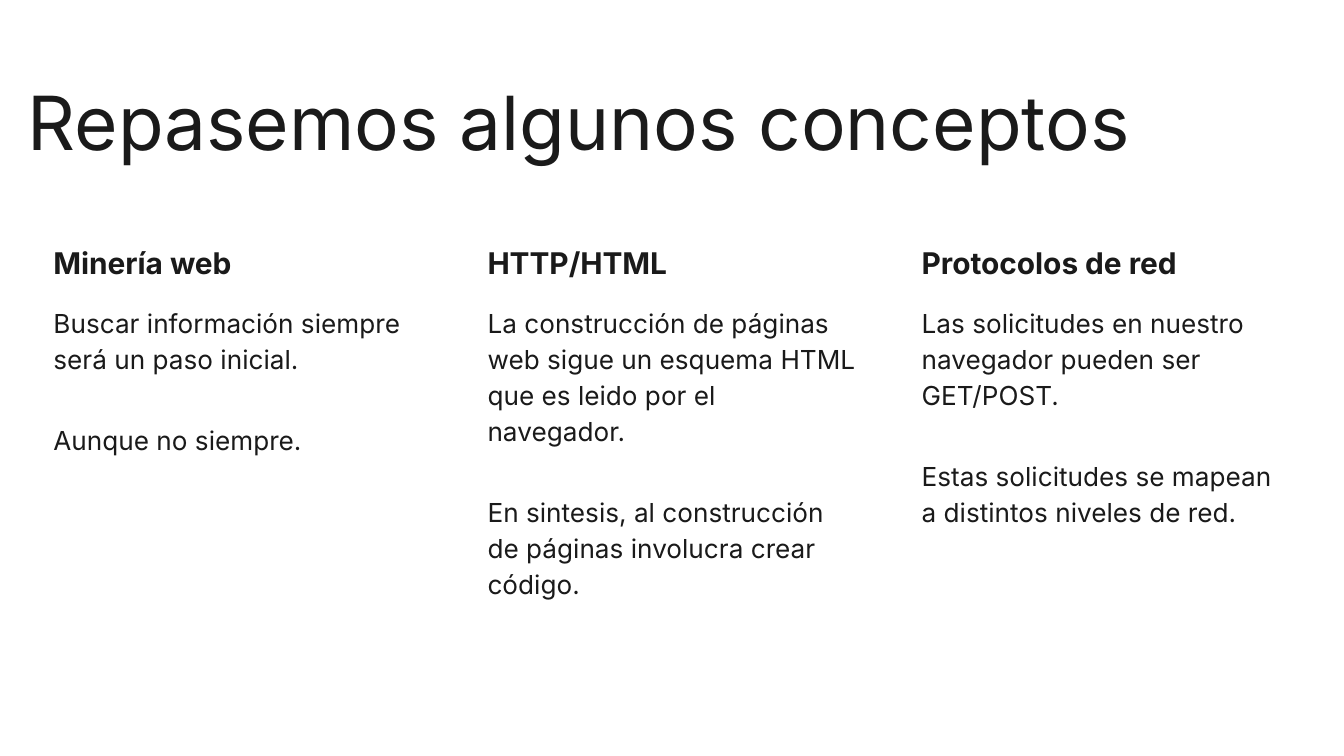
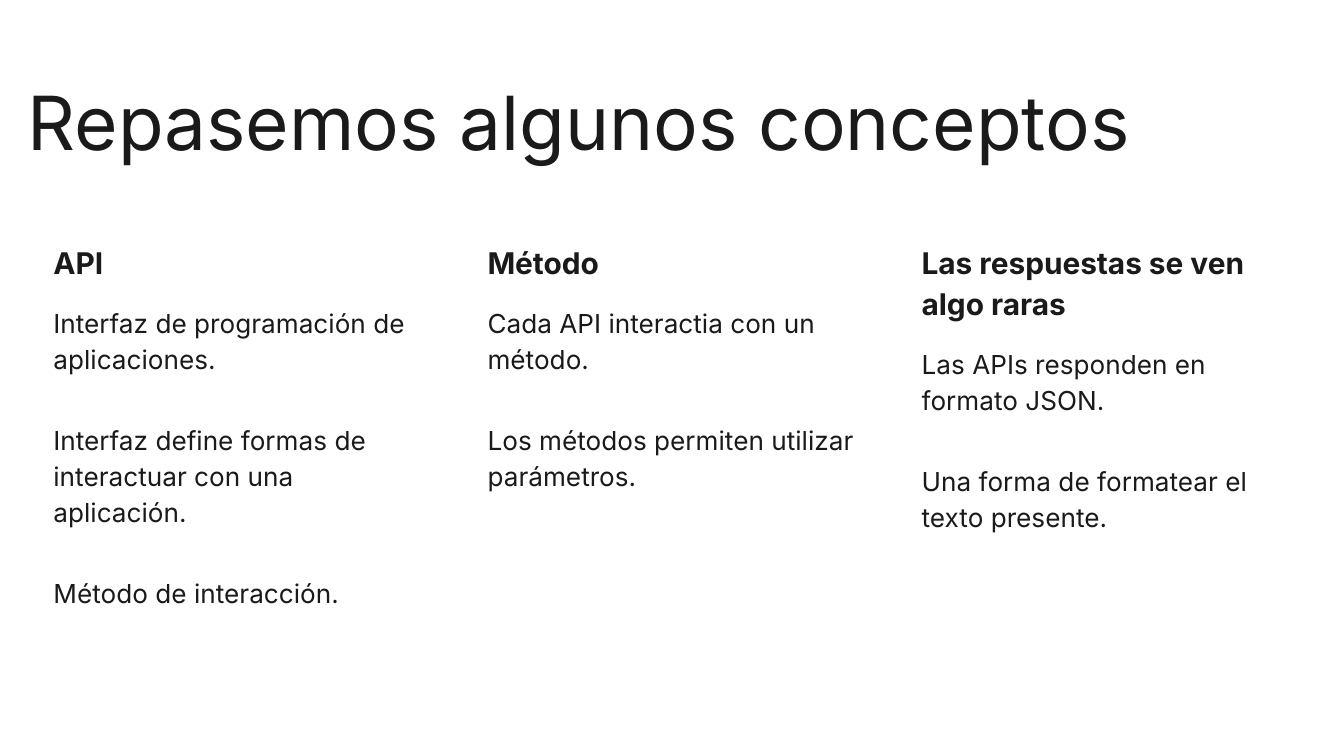
from pptx import Presentation
from pptx.dml.color import RGBColor
from pptx.enum.shapes import MSO_SHAPE
from pptx.enum.text import MSO_ANCHOR, MSO_AUTO_SIZE, PP_ALIGN
from pptx.util import Inches, Pt

ROUNDED = MSO_SHAPE.ROUNDED_RECTANGLE
TOP, MIDDLE = MSO_ANCHOR.TOP, MSO_ANCHOR.MIDDLE
GROW = MSO_AUTO_SIZE.SHAPE_TO_FIT_TEXT
LEFT = PP_ALIGN.LEFT

WIDTH, HEIGHT = 10, 5.625
FONT, INK, PAPER = "Inter", "1A1A1A", "FFFFFF"
TITLE_SIZE, HEADING_SIZE, BODY_SIZE = 40, 16, 14
INSET = 0.1
TITLE_BOX = (0.11, 0.46, 9.32, 0.88)
COLUMNS_BOX = (0.25, 1.63, 9.5, 3.74)
GAP = 0.19
CORNER = 0.056

TITLE = "Repasemos algunos conceptos"
PAGES = [
    [
        ("Minería web", [
            "Buscar información siempre será un paso inicial.",
            "Aunque no siempre.",
        ]),
        ("HTTP/HTML", [
            "La construcción de páginas web sigue un esquema HTML que es leido por el navegador.",
            "En sintesis, al construcción de páginas involucra crear código.",
        ]),
        ("Protocolos de red", [
            "Las solicitudes en nuestro navegador pueden ser GET/POST.",
            "Estas solicitudes se mapean a distintos niveles de red.",
        ]),
    ],
    [
        ("API", [
            "Interfaz de programación de aplicaciones.",
            "Interfaz define formas de interactuar con una aplicación.",
            "Método de interacción.",
        ]),
        ("Método", [
            "Cada API interactia con un método.",
            "Los métodos permiten utilizar parámetros.",
        ]),
        ("Las respuestas se ven algo raras", [
            "Las APIs responden en formato JSON.",
            "Una forma de formatear el texto presente.",
        ]),
    ],
]


def color(value):
    return RGBColor.from_string(value)


def inches(box):
    return [Inches(length) for length in box]


def prepare_frame(shape, anchor, bottom=INSET):
    frame = shape.text_frame
    frame.word_wrap = True
    frame.vertical_anchor = anchor
    frame.margin_left = frame.margin_right = frame.margin_top = Inches(INSET)
    frame.margin_bottom = Inches(bottom)
    return frame


def write(para, text, size, bold=False):
    para.alignment = LEFT
    span = para.add_run()
    span.text = text
    span.font.name = FONT
    span.font.size = Pt(size)
    span.font.bold = bold
    span.font.color.rgb = color(INK)


def add_title(page, box, text):
    frame = prepare_frame(page.shapes.add_textbox(*inches(box)), MIDDLE)
    frame.auto_size = GROW
    write(frame.paragraphs[0], text, TITLE_SIZE)


def add_concept(page, box, heading, notes):
    card = page.shapes.add_shape(ROUNDED, *inches(box))
    card.adjustments[0] = CORNER
    card.shadow.inherit = False
    card.fill.solid()
    card.fill.fore_color.rgb = color(PAPER)
    card.line.fill.background()
    frame = prepare_frame(card, TOP, bottom=0)
    write(frame.paragraphs[0], heading, HEADING_SIZE, bold=True)
    for note in notes:
        para = frame.add_paragraph()
        para.space_before = para.space_after = Pt(12)
        write(para, note, BODY_SIZE)
    for para in frame.paragraphs:
        para.line_spacing = 1.15


def add_columns(page, box, concepts):
    left, top, width, height = box
    column = (width - GAP * (len(concepts) - 1)) / len(concepts)
    for index, (heading, notes) in enumerate(concepts):
        place = (left + index * (column + GAP), top, column, height)
        add_concept(page, place, heading, notes)


def add_page(deck, concepts):
    page = deck.slides.add_slide(deck.slide_layouts[6])
    page.background.fill.solid()
    page.background.fill.fore_color.rgb = color(PAPER)
    add_title(page, TITLE_BOX, TITLE)
    add_columns(page, COLUMNS_BOX, concepts)


def main():
    deck = Presentation()
    deck.slide_width, deck.slide_height = inches((WIDTH, HEIGHT))
    for concepts in PAGES:
        add_page(deck, concepts)
    deck.save("out.pptx")


if __name__ == "__main__":
    main()
